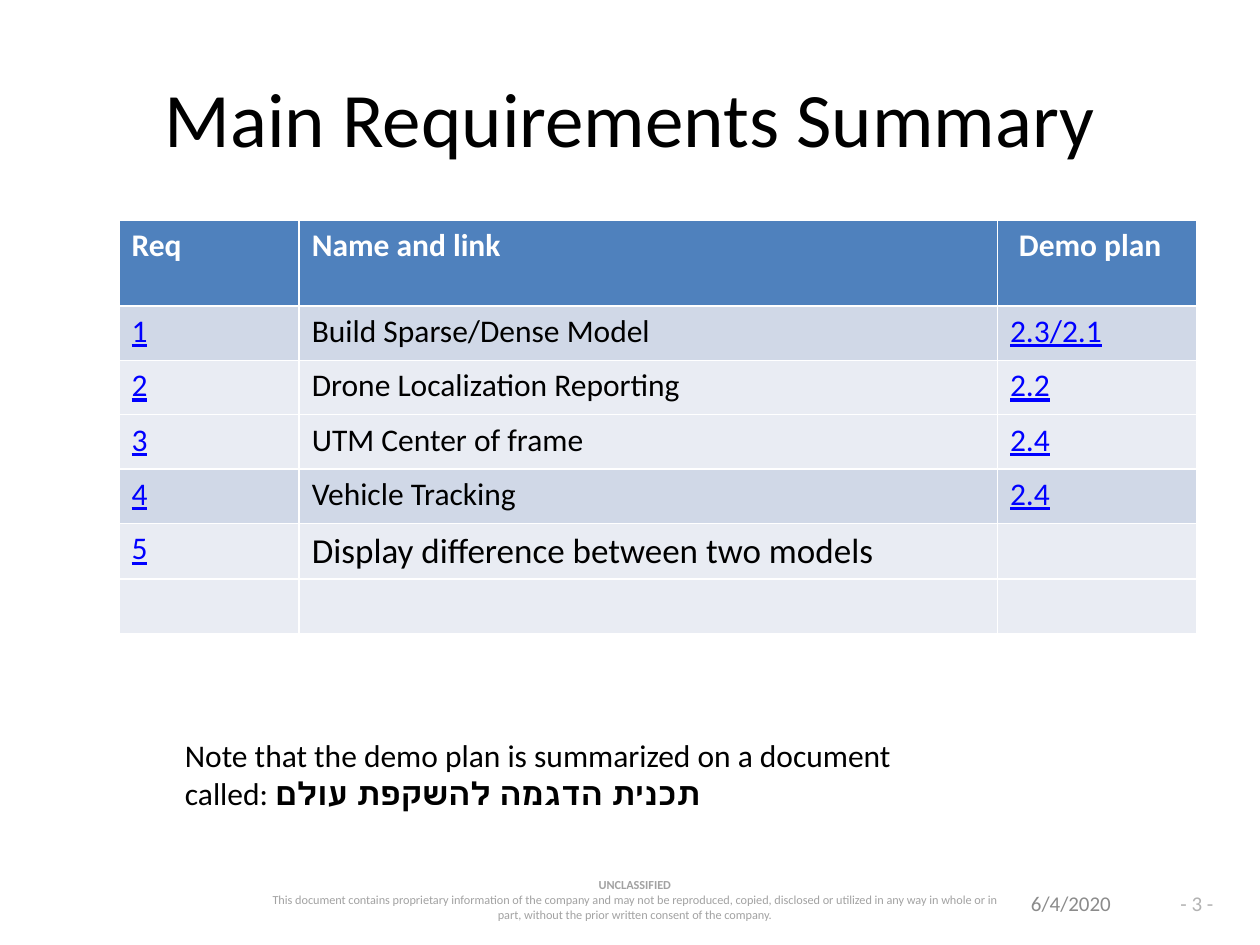
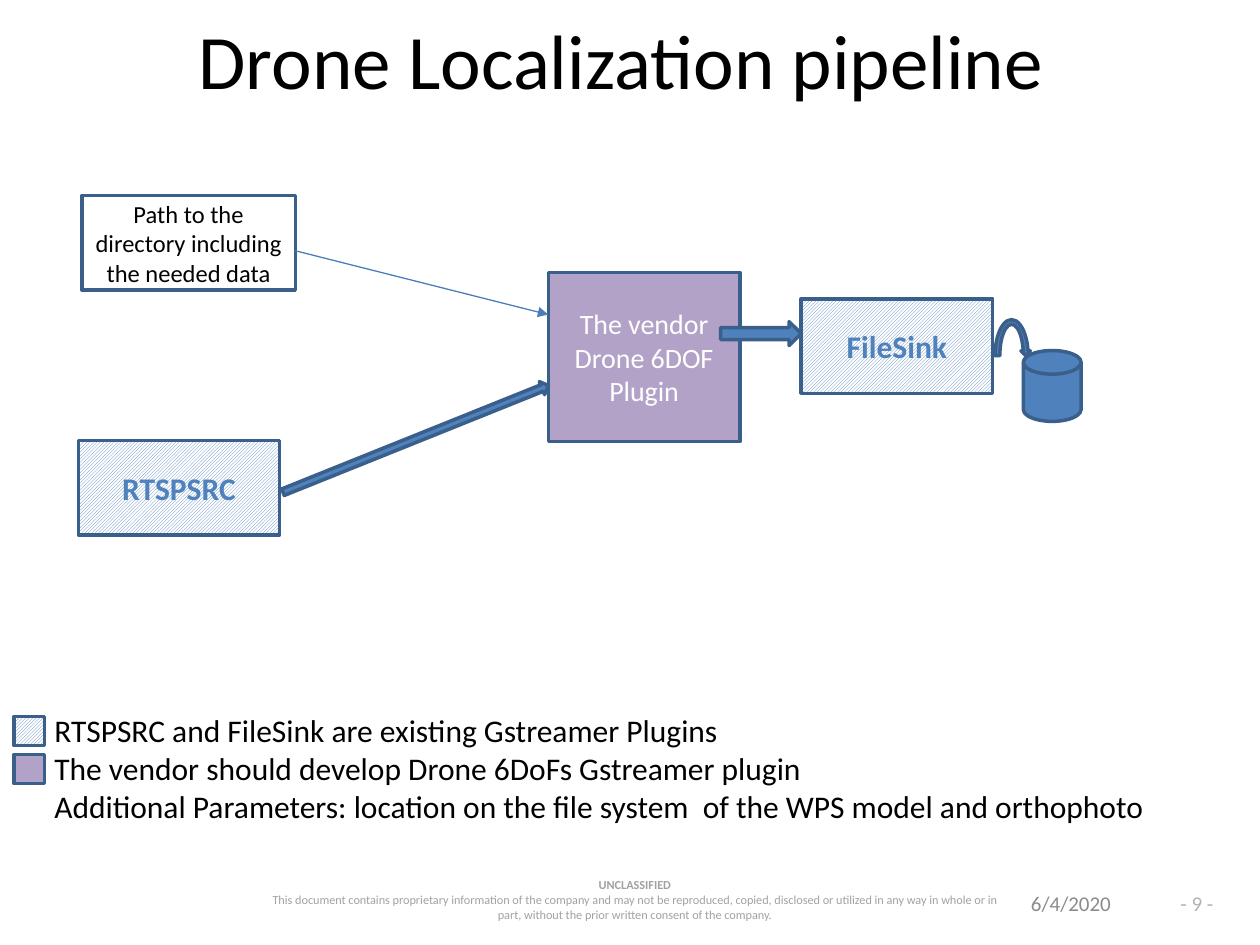
from pptx import Presentation
from pptx.dml.color import RGBColor
from pptx.enum import dml, shapes, text
from pptx.oxml import parse_xml
from pptx.oxml.ns import nsdecls
from pptx.util import Pt

BLACK = RGBColor(0x00, 0x00, 0x00)
WHITE = RGBColor(0xFF, 0xFF, 0xFF)
BLUE = RGBColor(0x4F, 0x81, 0xBD)
OUTLINE = RGBColor(0x3A, 0x5F, 0x8B)
THIN_ARROW = RGBColor(0x4A, 0x7E, 0xBB)
PURPLE = RGBColor(0xB3, 0xA2, 0xC7)
LINK = RGBColor(0x00, 0x00, 0xFF)
BAND_DARK = RGBColor(0xD0, 0xD8, 0xE7)
BAND_LIGHT = RGBColor(0xE9, 0xEC, 0xF3)
NOTICE_GREY = RGBColor(0xA2, 0xA2, 0xA2)
DATE_GREY = RGBColor(0x8B, 0x8B, 0x8B)
NUMBER_GREY = RGBColor(0xB2, 0xB2, 0xB2)

FONT = "Calibri"
HATCH = "hatch"
SHAPE = shapes.MSO_SHAPE
LEFT, CENTER = text.PP_ALIGN.LEFT, text.PP_ALIGN.CENTER
TOP, MIDDLE = text.MSO_ANCHOR.TOP, text.MSO_ANCHOR.MIDDLE

NOTICE = ("This document contains proprietary information of the company "
          "and may not be reproduced, copied, disclosed or utilized in any way in "
          "whole or in part, without the prior written consent of the company.")


def points(*lengths):
    return [Pt(length) for length in lengths]


def add_run(paragraph, words, size, color=BLACK, bold=False, underline=False):
    run = paragraph.add_run()
    run.text = words
    font = run.font
    font.name, font.size, font.bold = FONT, Pt(size), bold
    font.underline = underline
    font.color.rgb = color


def write(frame, lines, size, color=BLACK, align=LEFT, anchor=TOP):
    """Fill a text frame; each line is a list of (words, bold) runs."""
    frame.word_wrap = True
    frame.auto_size = text.MSO_AUTO_SIZE.NONE
    frame.vertical_anchor = anchor
    for index, runs in enumerate(lines):
        paragraph = frame.paragraphs[0] if index == 0 else frame.add_paragraph()
        paragraph.alignment = align
        for words, bold in runs:
            add_run(paragraph, words, size, color, bold)


def add_text(slide, box, lines, size, color=BLACK, align=LEFT, anchor=TOP):
    frame = slide.shapes.add_textbox(*points(*box)).text_frame
    write(frame, lines, size, color, align, anchor)
    return frame


def add_titled_slide(deck, title, box, number):
    slide = deck.slides.add_slide(deck.slide_layouts[5])
    holder = slide.shapes.title
    holder.left, holder.top, holder.width, holder.height = points(*box)
    write(holder.text_frame, [[(title, False)]], 44, align=CENTER, anchor=MIDDLE)
    add_footer(slide, (150, 498, 558, 33), number)
    return slide


def add_footer(slide, box, number):
    left, top, width, height = box
    notice = add_text(slide, (left, top, 425.5, height),
                      [[("UNCLASSIFIED", True)], [(NOTICE, False)]],
                      7, NOTICE_GREY, CENTER)
    notice.margin_left = notice.margin_right = 0
    add_text(slide, (left + 432, top + 4, 63, 28.5), [[("6/4/2020", False)]],
             12, DATE_GREY, anchor=MIDDLE)
    add_text(slide, (left + width - 48, top + 4, 48, 28.5),
             [[(f"- {number} -", False)]], 12, NUMBER_GREY, CENTER, MIDDLE)


def add_requirements(slide, box):
    header = ("Req", "Name and link", "Demo plan")
    requirements = [
        ("1", "Build Sparse/Dense Model", "2.3/2.1"),
        ("2", "Drone Localization Reporting", "2.2"),
        ("3", "UTM Center of frame", "2.4"),
        ("4", "Vehicle Tracking", "2.4"),
        ("5", "Display difference between two models", ""),
        ("", "", ""),
    ]
    bands = [BLUE, BAND_DARK, BAND_LIGHT, BAND_LIGHT, BAND_DARK, BAND_LIGHT, BAND_LIGHT]
    rows = [header] + requirements
    table = slide.shapes.add_table(len(rows), len(header), *points(*box)).table
    for column, width in zip(table.columns, (103, 399, 114)):
        column.width = Pt(width)
    for r, (row, band) in enumerate(zip(rows, bands)):
        table.rows[r].height = Pt(31.1 if r else 48.8)
        for c, words in enumerate(row):
            cell = table.cell(r, c)
            cell.fill.solid()
            cell.fill.fore_color.rgb = band
            if not words:
                continue
            paragraph = cell.text_frame.paragraphs[0]
            if r == 0:
                add_run(paragraph, words, 18, WHITE, bold=True)
            elif c == 1:
                add_run(paragraph, words, 20 if r == 5 else 18)
            else:
                add_run(paragraph, words, 18, LINK, underline=True)
    table.cell(0, 2).margin_left = Pt(12.3)


def add_block(slide, kind, box, fill=BLUE, label="", size=18, color=BLUE, bold=False):
    block = slide.shapes.add_shape(kind, *points(*box))
    block.shadow.inherit = False
    block.line.color.rgb, block.line.width = OUTLINE, Pt(2)
    if fill is None:
        block.fill.background()
    elif fill == HATCH:
        block.fill.patterned()
        block.fill.pattern = dml.MSO_PATTERN.LIGHT_UPWARD_DIAGONAL
        block.fill.fore_color.rgb, block.fill.back_color.rgb = BLUE, WHITE
    else:
        block.fill.solid()
        block.fill.fore_color.rgb = fill
    if label:
        write(block.text_frame, [[(label, bold)]], size, color, CENTER, MIDDLE)
    return block


def add_thin_arrow(slide, start, end):
    arrow = slide.shapes.add_connector(
        shapes.MSO_CONNECTOR.STRAIGHT, *points(*start, *end))
    arrow.line.color.rgb, arrow.line.width = THIN_ARROW, Pt(0.75)
    arrow.line._get_or_add_ln().append(
        parse_xml(f'<a:tailEnd type="triangle" {nsdecls("a")}/>'))
    arrow._element.spPr.append(parse_xml(f'<a:effectLst {nsdecls("a")}/>'))


def add_pipeline(slide, left, top):
    def place(x, y, width, height):
        return left + x, top + y, width, height

    add_block(slide, SHAPE.RECTANGLE, place(0, 140, 115, 54), HATCH, "RTSPSRC", bold=True)
    add_block(slide, SHAPE.RECTANGLE, place(268.5, 44, 109.5, 96.5), PURPLE,
              "The vendor Drone 6DOF Plugin", 16, WHITE)
    stream = add_block(slide, SHAPE.RIGHT_ARROW, place(111, 135, 163.5, 8))
    stream.rotation = 338.1
    add_block(slide, SHAPE.RIGHT_ARROW, place(367, 72, 46, 13.7))
    save_arc = add_block(slide, SHAPE.CIRCULAR_ARROW, place(522.5, 69.5, 21.6, 44))
    for index, value in enumerate((0.125, 11.423, 204.577, 108, 0.125)):
        save_arc.adjustments[index] = value
    add_block(slide, SHAPE.FLOWCHART_MAGNETIC_DISK, place(540, 88.5, 33, 40.5))
    add_block(slide, SHAPE.RECTANGLE, place(413, 59, 109.5, 54), HATCH, "FileSink", bold=True)
    add_block(slide, SHAPE.RECTANGLE, place(2, 0, 122, 54), None,
              "Path to the directory including the needed data", 14, BLACK)
    add_thin_arrow(slide, (left + 124, top + 31.5), (left + 268.5, top + 68))


def add_legend(slide, box):
    left, top, width, height = box
    lines = ["RTSPSRC and FileSink are existing Gstreamer Plugins",
             "The vendor should develop Drone 6DoFs Gstreamer plugin",
             "Additional Parameters: location on the file system  of the WPS model and orthophoto"]
    add_text(slide, (left + 16, top, width - 16, height),
             [[(line, False)] for line in lines], 18)
    for index, fill in enumerate((HATCH, PURPLE)):
        add_block(slide, SHAPE.RECTANGLE, (left, top + 6.5 + 21.7 * index, 17.5, 16.5), fill)


def main():
    deck = Presentation()
    deck.slide_width, deck.slide_height = points(720, 540)

    summary = add_titled_slide(deck, "Main Requirements Summary", (36, 21.6, 648, 90), 3)
    add_requirements(summary, (68, 126, 616, 235.4))
    add_text(summary, (98.6, 417, 520, 50.5),
             [[("Note that the demo plan is summarized on a document", False)],
              [("called: ", False), ("תכנית הדגמה להשקפת עולם", True)]], 18)

    pipeline = add_titled_slide(deck, "Drone Localization pipeline", (31, 2.2, 648, 62.6), 9)
    add_pipeline(pipeline, 44.8, 111.8)
    add_legend(pipeline, (8, 403, 664, 115))

    deck.save("out.pptx")


if __name__ == "__main__":
    main()
